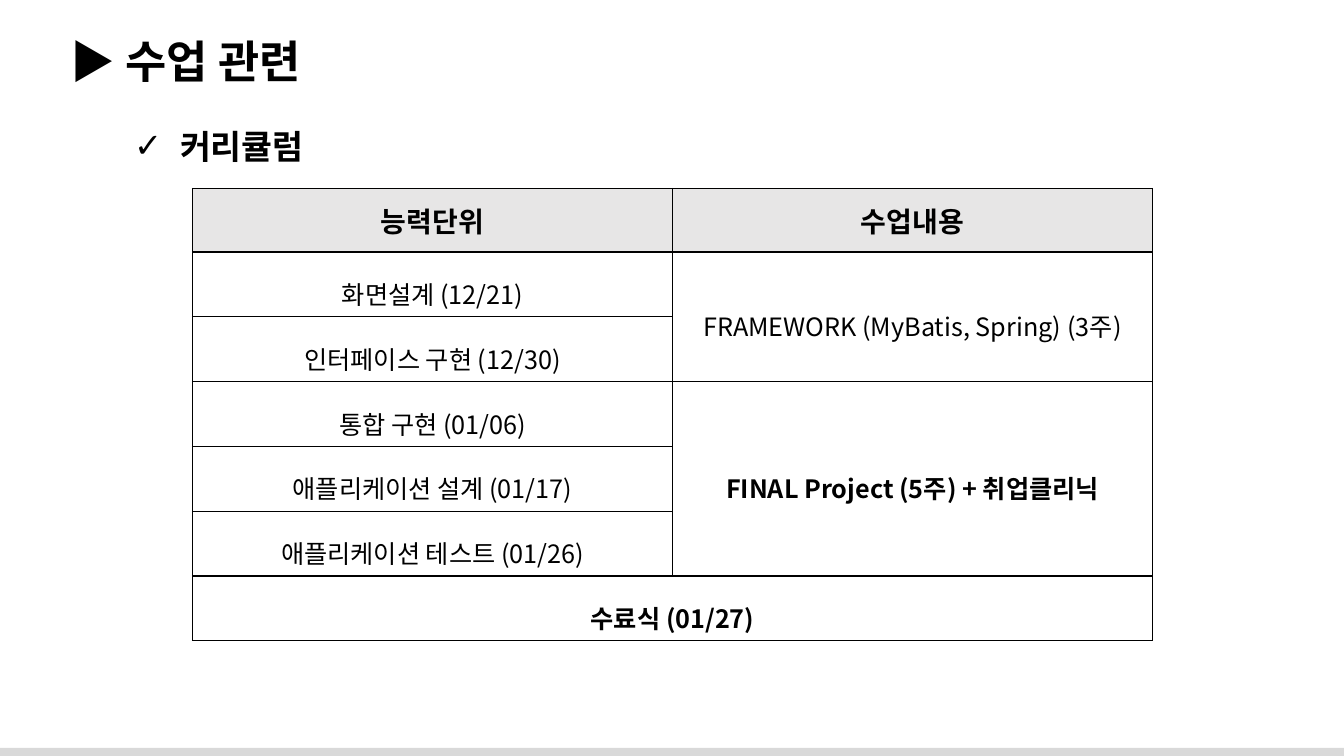
import pptx
import pptx.util
import pptx.dml.color
import pptx.enum.shapes
import pptx.enum.text
import pptx.oxml
import pptx.oxml.ns
from lxml import etree

Inches = pptx.util.Inches
RGBColor = pptx.dml.color.RGBColor
ALIGN = pptx.enum.text.PP_ALIGN
ANCHOR = pptx.enum.text.MSO_ANCHOR
qn = pptx.oxml.ns.qn

BLACK = RGBColor(0x00, 0x00, 0x00)
HEAD = RGBColor(0xE7, 0xE6, 0xE6)
BAR = RGBColor(0xD9, 0xD9, 0xD9)
SANS = "Noto Sans CJK KR"

UNITS = ["화면설계 (12/21)", "인터페이스 구현 (12/30)", "통합 구현 (01/06)",
         "애플리케이션 설계 (01/17)", "애플리케이션 테스트 (01/26)"]
TOPICS = [("FRAMEWORK (MyBatis, Spring) (3주)", 1, 2, False),
          ("FINAL Project (5주) + 취업클리닉", 3, 5, True)]


def add_run(para, text, size, bold, font):
    """Add one black run, with the Korean face set as well."""
    run = para.add_run()
    run.text = text
    run.font.size = pptx.util.Pt(size)
    run.font.bold = bold
    run.font.name = font
    run.font.color.rgb = BLACK
    face = etree.SubElement(run._r.get_or_add_rPr(), qn("a:ea"))
    face.set("typeface", SANS)


def place(shape, box):
    """Move a shape to a box given in inches."""
    shape.left, shape.top, shape.width, shape.height = map(Inches, box)


def add_head(holder, box, text, size):
    """Fill a placeholder with one bold line and return its paragraph."""
    place(holder, box)
    frame = holder.text_frame
    frame.word_wrap = True
    frame.auto_size = pptx.enum.text.MSO_AUTO_SIZE.NONE
    frame.vertical_anchor = ANCHOR.MIDDLE
    para = frame.paragraphs[0]
    para.alignment = ALIGN.LEFT
    para.space_before = pptx.util.Pt(0)
    add_run(para, text, size, True, "Arial")
    return para


def add_tick(para):
    """Give a paragraph a check mark with a hanging indent."""
    props = para._p.get_or_add_pPr()
    props.set("marL", str(Inches(0.38)))
    props.set("indent", str(Inches(-0.38)))
    etree.SubElement(props, qn("a:buChar")).set("char", "✓")


def add_edges(cell):
    """Draw a thin black line on all sides of a cell."""
    props = cell._tc.get_or_add_tcPr()
    for spot, side in enumerate(("lnL", "lnR", "lnT", "lnB")):
        line = pptx.oxml.parse_xml(
            f'<a:{side} {pptx.oxml.ns.nsdecls("a")} w="12700"><a:solidFill>'
            f'<a:srgbClr val="{BLACK}"/></a:solidFill></a:{side}>')
        props.insert(spot, line)


def fill_cell(cell, text, size, bold, space):
    """Write centred text in a cell."""
    cell.vertical_anchor = ANCHOR.MIDDLE
    para = cell.text_frame.paragraphs[0]
    para.alignment = ALIGN.CENTER
    para.line_spacing = space
    add_run(para, text, size, bold, SANS)


def add_plan(slide, box):
    """Build the curriculum table in the box."""
    count = len(UNITS) + 2
    table = slide.shapes.add_table(count, 2, *map(Inches, box)).table
    table.first_row = table.horz_banding = False
    for row in range(count):
        for col in range(2):
            cell = table.cell(row, col)
            if row == 0:
                cell.fill.solid()
                cell.fill.fore_color.rgb = HEAD
            else:
                cell.fill.background()
            add_edges(cell)
    for col, text in enumerate(("능력단위", "수업내용")):
        fill_cell(table.cell(0, col), text, 20, True, 1.0)
    for row, text in enumerate(UNITS, 1):
        fill_cell(table.cell(row, 0), text, 18, False, 1.5)
    for text, start, end, bold in TOPICS:
        table.cell(start, 1).merge(table.cell(end, 1))
        fill_cell(table.cell(start, 1), text, 18, bold, 1.5)
    last = count - 1
    table.cell(last, 0).merge(table.cell(last, 1))
    fill_cell(table.cell(last, 0), "수료식 (01/27)", 18, True, 1.5)


def add_bar(slide, box):
    """Draw the grey strip along the foot of the slide."""
    kind = pptx.enum.shapes.MSO_SHAPE.RECTANGLE
    bar = slide.shapes.add_shape(kind, *map(Inches, box))
    bar.shadow.inherit = False
    bar.fill.solid()
    bar.fill.fore_color.rgb = BAR
    bar.line.fill.background()


def main():
    """Build the slide and save it."""
    deck = pptx.Presentation()
    deck.slide_width, deck.slide_height = Inches(13.33), Inches(7.5)
    slide = deck.slides.add_slide(deck.slide_layouts[1])
    add_bar(slide, (0, 7.42, 13.33, 0.08))
    add_head(slide.shapes.title, (0.6, 0.28, 12.6, 0.64), "▶ 수업 관련", 32)
    body = slide.placeholders[1]
    add_tick(add_head(body, (1.23, 1.2, 2.05, 0.5), " 커리큘럼", 24))
    add_plan(slide, (1.91, 1.87, 9.52, 4.41))
    deck.save("out.pptx")


if __name__ == "__main__":
    main()
